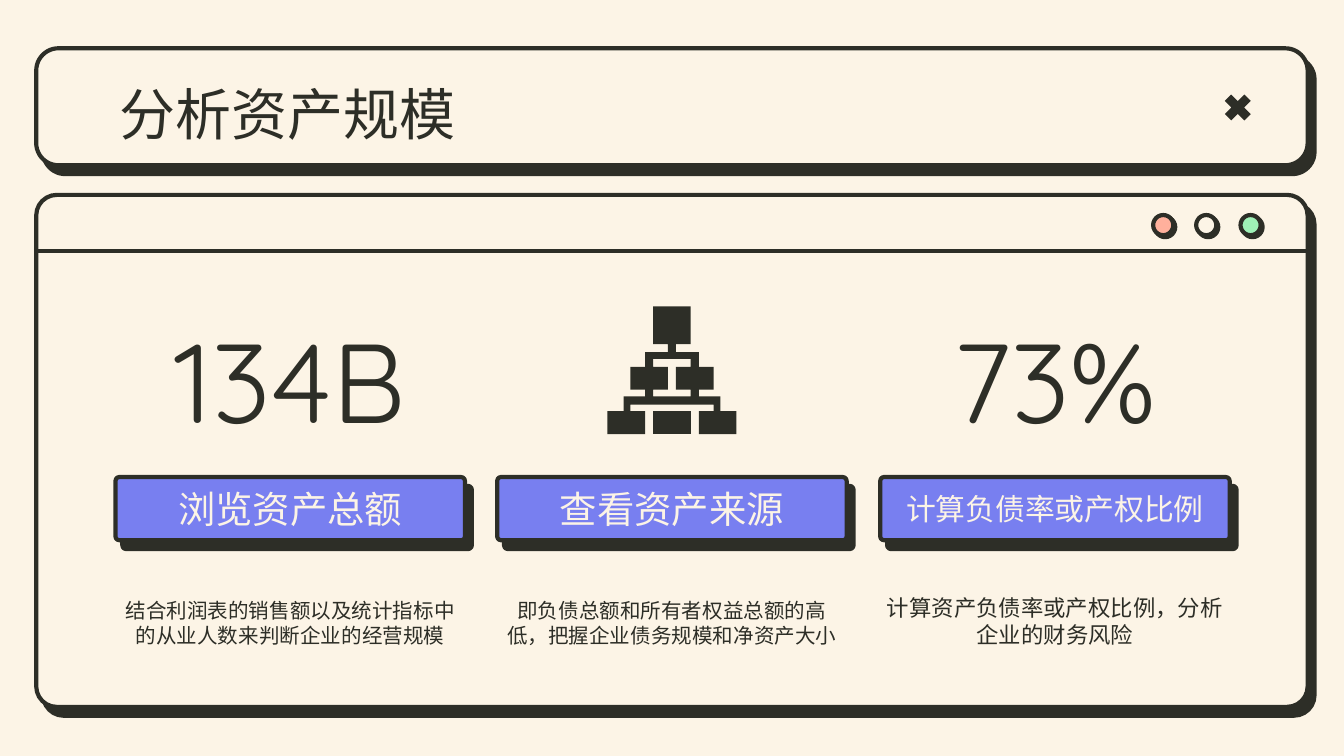
from lxml.etree import SubElement
from pptx import Presentation
from pptx.dml.color import RGBColor
from pptx.enum.shapes import MSO_CONNECTOR, MSO_SHAPE
from pptx.enum.text import MSO_ANCHOR, PP_ALIGN
from pptx.oxml.ns import qn
from pptx.util import Pt

PX = 9144
INK, CREAM, BLUE = "2D2E27", "FCF4E6", "787FF0"
DOTS = [(858, "FFB09C"), (890, CREAM), (923, "9FF1B7")]
CARDS = [
    ("134B", "浏览资产总额", 20, 18,
     "结合利润表的销售额以及统计指标中的从业人数来判断企业的经营规模", 11),
    (None, "查看资产来源", 20, 18,
     "即负债总额和所有者权益总额的高低，把握企业债务规模和净资产大小", 11),
    ("73%", "计算负债率或产权比例", 16, 0,
     "计算资产负债率或产权比例，分析企业的财务风险", 12),
]
BASE = [(486, 306), (486, 323)]
HOLE = [(486, 267), (486, 273), (497, 273), (497, 290), (486, 290), (486, 295)]
TREE = [
    (486, 228), (486, 256), (497, 256), (497, 262), (480, 262), (480, 273),
    (469, 273), (469, 290), (480, 290), (480, 295), (464, 295), (464, 306),
    (452, 306), (452, 323), (480, 323), (480, 306), (469, 306), (469, 301),
]


def color(code):
    return RGBColor.from_string(code)


def scale(*sizes):
    return [size * PX for size in sizes]


def paint(shape, fill):
    shape.shadow.inherit = False
    shape.fill.solid()
    shape.fill.fore_color.rgb = color(fill)
    shape.line.fill.background()


def edge(shape):
    shape.line.color.rgb = color(INK)
    shape.line.width = Pt(2.25)


def drop(shape, dist, angle):
    effect = shape._element.spPr.find(qn("a:effectLst"))
    shade = SubElement(effect, qn("a:outerShdw"), dist=str(Pt(dist)),
                       dir=str(angle * 60000), algn="bl", rotWithShape="0")
    SubElement(shade, qn("a:srgbClr"), val=INK)


def panel(slide, box, fill, round_by):
    shape = slide.shapes.add_shape(MSO_SHAPE.ROUNDED_RECTANGLE, *scale(*box))
    shape.adjustments[0] = round_by
    paint(shape, fill)
    edge(shape)
    drop(shape, 6, 52)


def dot(slide, left, fill):
    shape = slide.shapes.add_shape(MSO_SHAPE.OVAL, *scale(left, 160, 15, 15))
    paint(shape, fill)
    edge(shape)
    drop(shape, 1.5, 45)


def cross(slide):
    shape = slide.shapes.add_shape(MSO_SHAPE.MATH_MULTIPLY, *scale(907, 66, 28, 28))
    shape.adjustments[0] = 0.24
    paint(shape, INK)


def rule(slide):
    line = slide.shapes.add_connector(MSO_CONNECTOR.STRAIGHT, *scale(27, 187, 972, 187))
    edge(line)
    SubElement(line._element.spPr, qn("a:effectLst"))


def label(slide, box, text, size, font="Quicksand", ink=INK,
          align=PP_ALIGN.CENTER, anchor=MSO_ANCHOR.MIDDLE, after=0):
    frame = slide.shapes.add_textbox(*scale(*box)).text_frame
    frame.word_wrap = True
    frame.vertical_anchor = anchor
    frame.margin_left = frame.margin_right = 10 * PX
    frame.margin_top = frame.margin_bottom = 10 * PX
    frame.text = text
    para = frame.paragraphs[0]
    para.alignment = align
    para.space_after = Pt(after)
    para._p.get_or_add_pPr().set("hangingPunct", "0")
    run = para.runs[0]
    run.font.name = font
    run.font.size = Pt(size)
    run.font.color.rgb = color(ink)
    SubElement(run._r.rPr, qn("a:ea"), typeface=font)


def mirror(half):
    return half + [(1000 - x, y) for x, y in reversed(half)]


def icon(slide, *halves):
    first, *rest = [mirror(half) for half in halves]
    path = slide.shapes.build_freeform(*first[0], scale=PX)
    path.add_line_segments(first[1:], close=True)
    for points in rest:
        path.move_to(*points[0])
        path.add_line_segments(points[1:], close=True)
    paint(path.convert_to_shape(), INK)


def card(slide, left, figure, name, size, inset, note, small):
    panel(slide, (left, 355, 260, 47), BLUE, 0.06)
    label(slide, (left + inset, 355, 260 - 2 * inset, 47), name, size, ink=CREAM)
    label(slide, (left - 7, 429, 274, 63), note, small, "Inter",
          anchor=MSO_ANCHOR.BOTTOM, after=12)
    if figure:
        label(slide, (left + 5, 250, 250, 63), figure, 60)


def main():
    deck = Presentation()
    deck.slide_width = 1000 * PX
    deck.slide_height = deck.slide_width * 9 // 16
    slide = deck.slides.add_slide(deck.slide_layouts[6])
    slide.background.fill.solid()
    slide.background.fill.fore_color.rgb = color(CREAM)
    panel(slide, (27, 145, 946, 381), CREAM, 0.04)
    for left, fill in DOTS:
        dot(slide, left, fill)
    rule(slide)
    panel(slide, (27, 36, 946, 87), CREAM, 0.19)
    cross(slide)
    label(slide, (79, 49, 843, 63), "分析资产规模", 30,
          align=PP_ALIGN.LEFT, anchor=MSO_ANCHOR.TOP)
    for index, content in enumerate(CARDS):
        card(slide, 86 + index * 569 // 2, *content)
    icon(slide, BASE)
    icon(slide, HOLE, TREE)
    deck.save("out.pptx")


if __name__ == "__main__":
    main()
